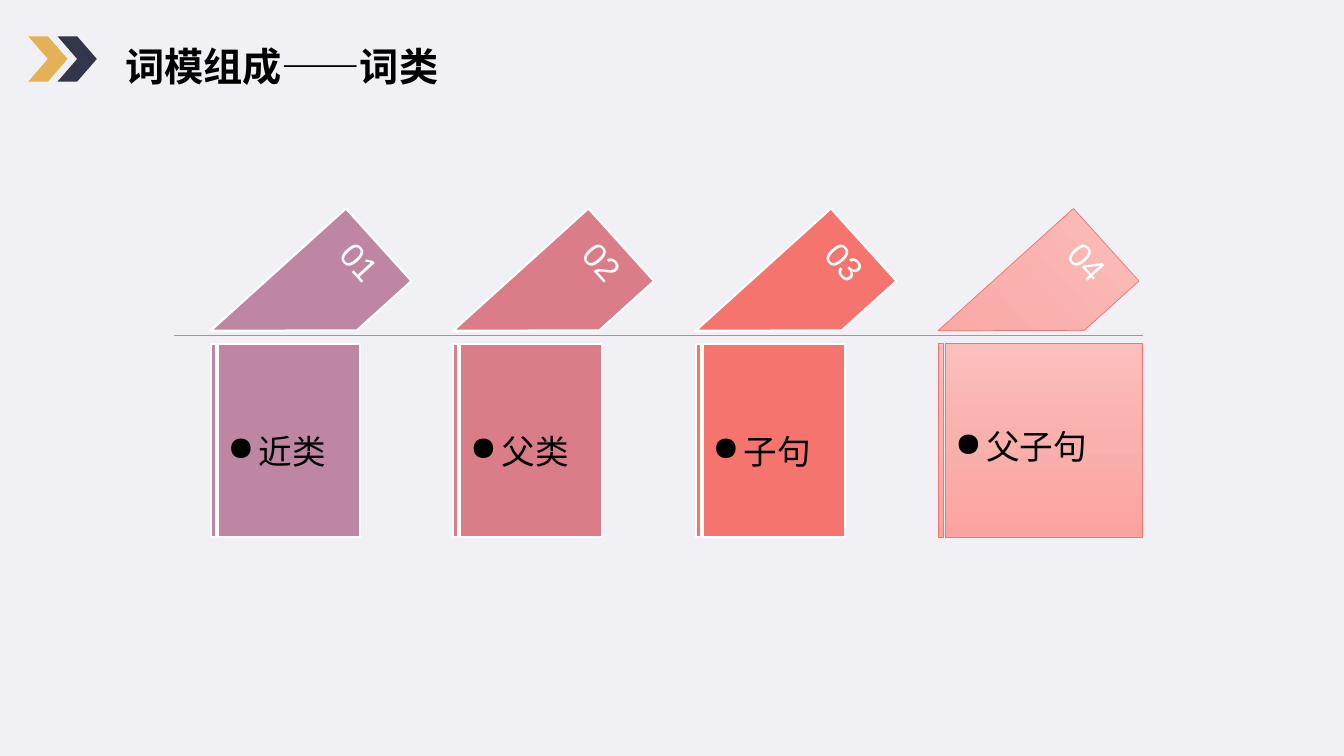
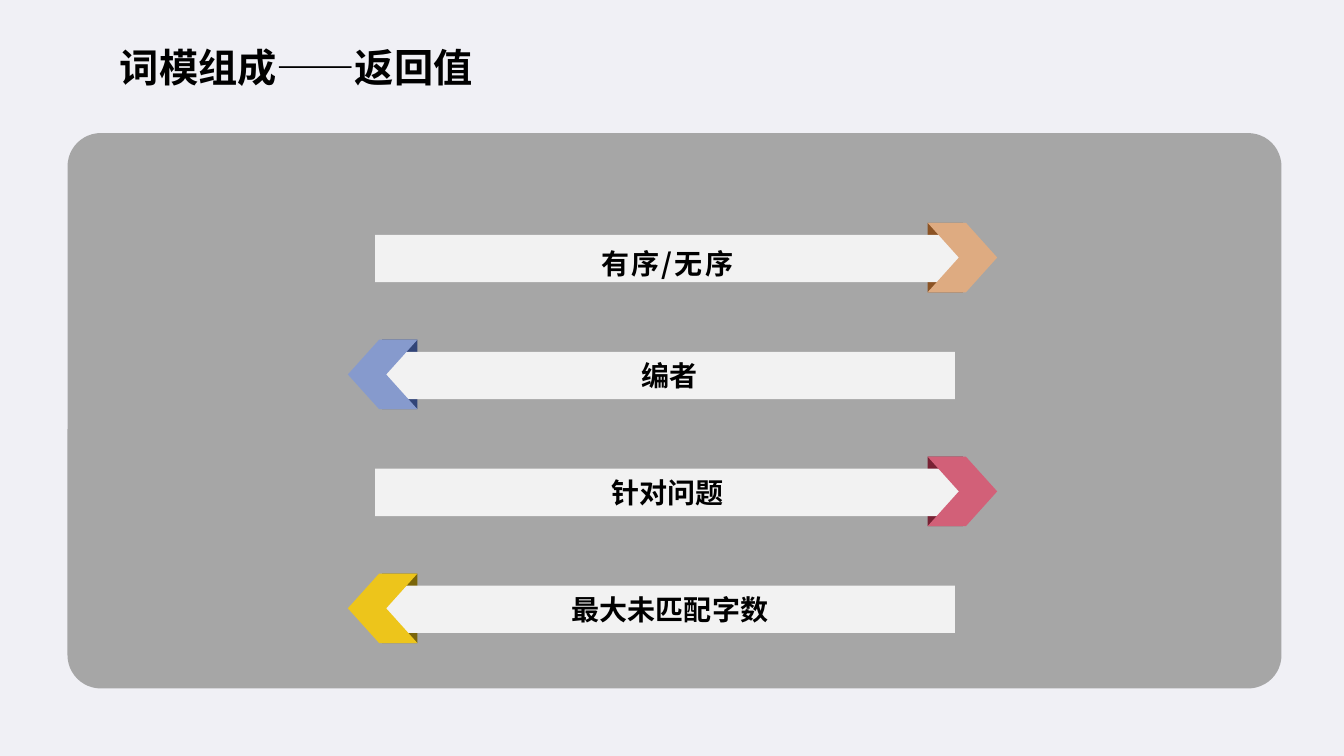
import copy

import lxml.etree
import pptx
import pptx.dml.color
import pptx.enum.shapes
import pptx.enum.text
import pptx.oxml.ns
import pptx.util

PX = 9144  # EMU in one px, 100 px to the inch
KIND = pptx.enum.shapes.MSO_SHAPE
ALIGN = pptx.enum.text.PP_ALIGN
ANCHOR = pptx.enum.text.MSO_ANCHOR
qn = pptx.oxml.ns.qn

COLORS = {
    "paper": "F0F0F5", "black": "000000", "white": "FFFFFF",
    "gold": "E4B156", "navy": "33364B", "rule": "8997DA",
    "mauve": "BF86A4", "rose": "DA7D89", "coral": "F5756E",
    "panel": "A6A6A6", "strip": "F2F2F2",
    "orange": "DEAB81", "orange_dark": "8B5324",
    "blue": "869ACD", "blue_dark": "324578",
    "pink": "D26078", "pink_dark": "772234",
    "yellow": "EDC51B", "yellow_dark": "7A650A",
}
BLUSH = [(0, "FCBFBD"), (0.5, "FAB0AD"), (1, "FCA39F")]
CJK = "Noto Sans CJK SC"
TITLE_FONT = {"name": CJK, "size": pptx.util.Pt(28), "bold": True}
STRIP_FONT = {"name": CJK, "size": pptx.util.Pt(20), "bold": True}
CARD_FONT = {"name": "Arial", "size": pptx.util.Pt(24)}

# Word classes: number, label, fill, outline, outline width, box width, line spacing
CARDS = [
    ("01", "近类", "mauve", "white", 1.5, 141, 1.5),
    ("02", "父类", "rose", "white", 1.5, 141, 1.5),
    ("03", "子句", "coral", "white", 1.5, 141, 1.5),
    ("04", "父子句", BLUSH, "coral", 0.5, 196, 1.3),
]
CARD_LEFT, CARD_PITCH = 209, 240.5
FLAG_OUTLINE = [(0, 0), (97, 0), (97, 73), (0, 181)]
FLAG_ANGLE = 47.9

# Return values: text, arrow colour, line spacing, letter spacing in 1/100 pt
STRIPS = [
    ("有序/无序", "orange", 1.3, 150),
    ("编者", "blue", 1, 0),
    ("针对问题", "pink", 1, 0),
    ("最大未匹配字数", "yellow", 1, 0),
]
STRIP_TOP, STRIP_PITCH = 221, 116
# Left edges of fold, strip and arrow, then the strip's width
POINTING_RIGHT = (920, 372, 920, 580)
POINTING_LEFT = (379, 382, 345, 565)


def rgb(name):
    return pptx.dml.color.RGBColor.from_string(COLORS.get(name, name))


def px(*lengths):
    return [round(length * PX) for length in lengths]


def paint(shape, fill, outline=None, width=0):
    """Fill with a colour name or a list of gradient stops, and set the outline."""
    shape.shadow.inherit = False
    if isinstance(fill, str):
        shape.fill.solid()
        shape.fill.fore_color.rgb = rgb(fill)
    else:
        shape.fill.gradient()
        shape.fill.gradient_angle = 270
        stop_list = shape._element.spPr.find(".//" + qn("a:gsLst"))
        while len(stop_list) < len(fill):
            stop_list.append(copy.deepcopy(stop_list[0]))
        for stop, (position, color) in zip(shape.fill.gradient_stops, fill):
            stop.position = position
            stop.color.rgb = rgb(color)
    if outline:
        shape.line.color.rgb = rgb(outline)
        shape.line.width = pptx.util.Pt(width)
    else:
        shape.line.fill.background()
    return shape


def add_block(shapes, kind, frame, fill, outline=None, width=0):
    return paint(shapes.add_shape(kind, *px(*frame)), fill, outline, width)


def write(shape, text, font, color="black", align=ALIGN.LEFT,
          anchor=ANCHOR.MIDDLE, line_spacing=1, tracking=0):
    frame = shape.text_frame
    frame.word_wrap = True
    frame.vertical_anchor = anchor
    para = frame.paragraphs[0]
    para.alignment = align
    para.line_spacing = line_spacing
    span = para.add_run()
    span.text = text
    for key, value in font.items():
        setattr(span.font, key, value)
    span.font.color.rgb = rgb(color)
    properties = span._r.get_or_add_rPr()
    lxml.etree.SubElement(properties, qn("a:ea"), typeface=CJK)
    if tracking:
        properties.set("spc", str(tracking))
    return para


def add_bullet(para, indent):
    properties = para._p.get_or_add_pPr()
    properties.set("marL", str(indent * PX))
    properties.set("indent", str(-indent * PX))
    lxml.etree.SubElement(properties, qn("a:buChar"), char="●")


def add_page(deck, title, left, top):
    page = deck.slides.add_slide(deck.slide_layouts.get_by_name("Title Only"))
    box = page.shapes.title
    box.left, box.top, box.width, box.height = px(left, top, 460, 57)
    write(box, title, TITLE_FONT, anchor=ANCHOR.TOP)
    box.text_frame.auto_size = pptx.enum.text.MSO_AUTO_SIZE.SHAPE_TO_FIT_TEXT
    return page


def add_card(page, left, card):
    number, label, fill, outline, width, box_width, line_spacing = card
    look = (fill, outline, width)
    shapes = page.shapes.add_group_shape().shapes

    builder = shapes.build_freeform(*FLAG_OUTLINE[0], scale=PX)
    builder.add_line_segments(FLAG_OUTLINE[1:], close=True)
    flag = paint(builder.convert_to_shape(*px(left + 51, 213)), *look)
    flag.rotation = FLAG_ANGLE
    write(flag, number, CARD_FONT, "white", ALIGN.CENTER, ANCHOR.TOP)

    add_block(shapes, KIND.RECTANGLE, (left, 341, 5, 192), *look)
    box = add_block(shapes, KIND.RECTANGLE, (left + 7, 341, box_width, 192), *look)
    add_bullet(write(box, label, CARD_FONT, line_spacing=line_spacing), 31)


def add_strip(page, top, strip, points_left):
    text, color, line_spacing, tracking = strip
    fold_left, strip_left, arrow_left, strip_width = (
        POINTING_LEFT if points_left else POINTING_RIGHT)
    shapes = page.shapes.add_group_shape().shapes
    add_block(shapes, KIND.RECTANGLE, (fold_left, top, 35, 69), color + "_dark")
    bar = add_block(shapes, KIND.RECTANGLE,
                    (strip_left, top + 12, strip_width, 47), "strip")
    write(bar, text, STRIP_FONT, align=ALIGN.CENTER,
          line_spacing=line_spacing, tracking=tracking)
    arrow = add_block(shapes, KIND.CHEVRON, (arrow_left, top, 69, 69), color)
    arrow.adjustments[0] = 0.45
    arrow.rotation = 180 if points_left else 0


def build_word_classes(deck):
    page = add_page(deck, "词模组成——词类", 114, 37)
    for left, color in ((28, "gold"), (57, "navy")):
        add_block(page.shapes, KIND.CHEVRON, (left, 36, 39, 45), color)
    rule = page.shapes.add_connector(
        pptx.enum.shapes.MSO_CONNECTOR.STRAIGHT, *px(173, 333, 1134, 333))
    rule.line.color.rgb = rgb("rule")
    rule.line.width = pptx.util.Pt(0.5)
    lxml.etree.SubElement(rule._element.spPr, qn("a:effectLst"))
    for index, card in enumerate(CARDS):
        add_card(page, CARD_LEFT + index * CARD_PITCH, card)


def build_return_values(deck):
    page = add_page(deck, "词模组成——返回值", 109, 38)
    panel = add_block(page.shapes, KIND.ROUNDED_RECTANGLE,
                      (67, 132, 1204, 551), "panel")
    panel.adjustments[0] = 0.06
    for index, strip in enumerate(STRIPS):
        add_strip(page, STRIP_TOP + index * STRIP_PITCH, strip, index % 2 == 1)


def main():
    deck = pptx.Presentation()
    deck.slide_width, deck.slide_height = px(1333, 750)
    backdrop = deck.slide_master.background.fill
    backdrop.solid()
    backdrop.fore_color.rgb = rgb("paper")
    build_word_classes(deck)
    build_return_values(deck)
    deck.save("out.pptx")


if __name__ == "__main__":
    main()
